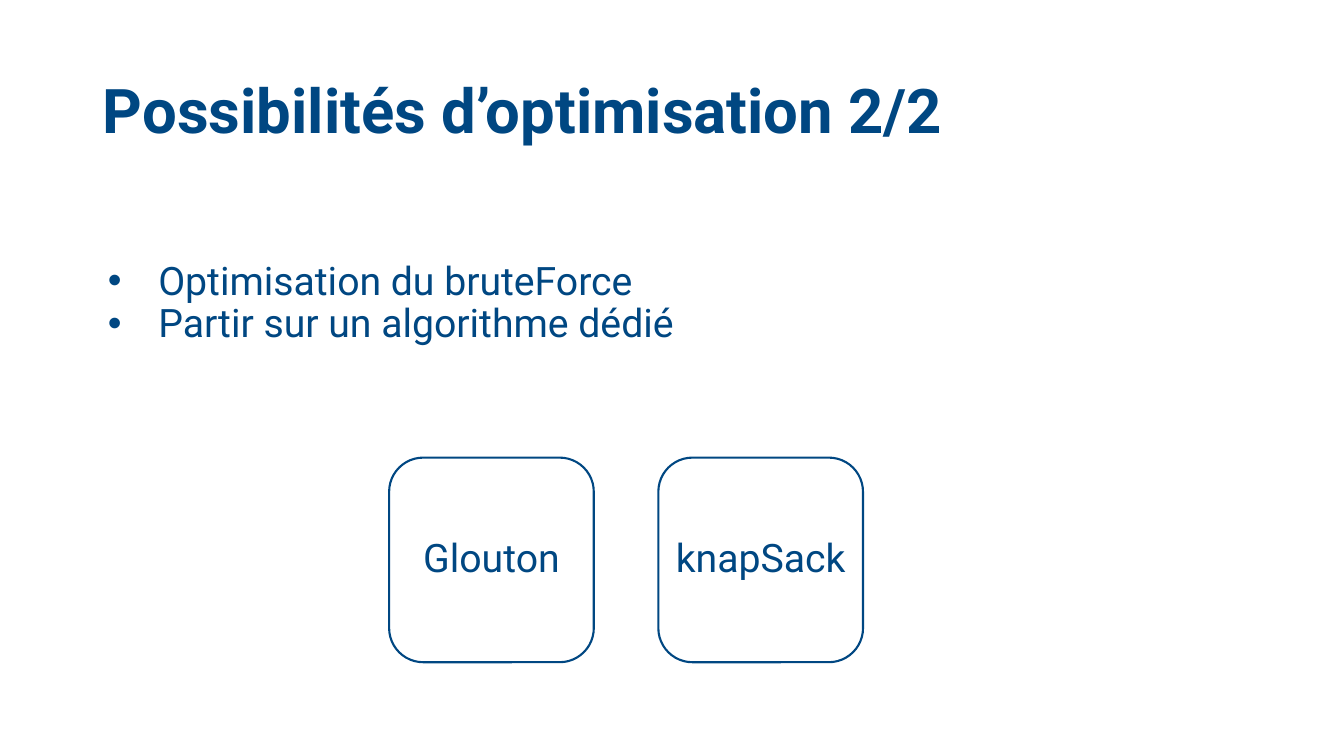
import pptx
import pptx.util
import pptx.dml.color
import pptx.enum.shapes
import pptx.enum.text
import pptx.oxml

Inches = pptx.util.Inches
Pt = pptx.util.Pt
align = pptx.enum.text.PP_ALIGN

theme = {
    "font": "Roboto",
    "blue": pptx.dml.color.RGBColor.from_string("004782"),
    "title": Pt(44),
    "body": Pt(28),
}


def write(shape, lines, size, side, bold=False):
    frame = shape.text_frame
    frame.text = "\n".join(lines)
    frame.word_wrap = True
    frame.auto_size = pptx.enum.text.MSO_AUTO_SIZE.NONE
    frame.vertical_anchor = pptx.enum.text.MSO_ANCHOR.MIDDLE
    for para in frame.paragraphs:
        para.alignment = side
        para.line_spacing = 0.9
        para.space_before = Pt(0)
        para.font.name = theme["font"]
        para.font.size = size
        para.font.bold = bold
        para.font.color.rgb = theme["blue"]


def place(shape, left, top, width, height):
    shape.left, shape.top = Inches(left), Inches(top)
    shape.width, shape.height = Inches(width), Inches(height)


deck = pptx.Presentation()
deck.slide_width = Inches(13.33)
deck.slide_height = Inches(7.5)
slide = deck.slides.add_slide(deck.slide_layouts[1])

title = slide.shapes.title
place(title, 0.92, 0.4, 11.5, 1.45)
write(title, ["Possibilités d’optimisation 2/2"], theme["title"], align.LEFT, True)

body = slide.placeholders[1]
place(body, 0.97, 2.29, 11.5, 1.45)
points = ["Optimisation du bruteForce", "Partir sur un algorithme dédié"]
write(body, points, theme["body"], align.LEFT)
for para in body.text_frame.paragraphs:
    props = para._p.get_or_add_pPr()
    props.set("marL", str(Inches(0.5)))
    props.set("indent", str(-Inches(0.5)))
    mark = pptx.oxml.parse_xml(
        '<a:buChar xmlns:a="http://schemas.openxmlformats.org/drawingml/2006/main" char="•"/>'
    )
    props.insert_element_before(mark, "a:tabLst", "a:defRPr", "a:extLst")

side = Inches(2.03)
for i, name in enumerate(["Glouton", "knapSack"]):
    box = slide.shapes.add_shape(
        pptx.enum.shapes.MSO_SHAPE.ROUNDED_RECTANGLE,
        Inches(3.86 + 2.67 * i), Inches(4.54), side, side,
    )
    box.shadow.inherit = False
    box.fill.background()
    box.line.color.rgb = theme["blue"]
    box.line.width = Pt(1.5)
    box.text_frame.margin_left = box.text_frame.margin_right = 0
    write(box, [name], theme["body"], align.CENTER)

deck.save("out.pptx")
